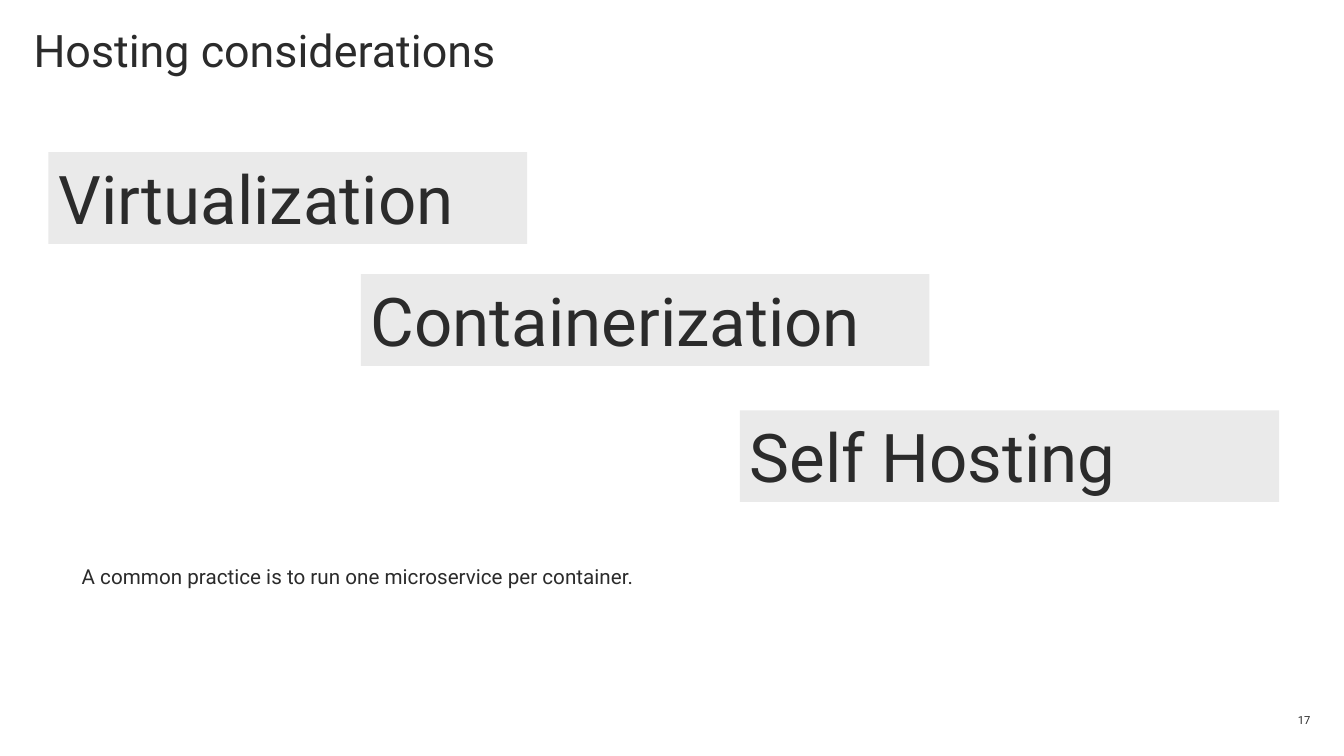
import pptx
import pptx.dml.color
import pptx.enum.shapes
import pptx.enum.text
import pptx.util
from dataclasses import dataclass

Align = pptx.enum.text.PP_ALIGN
Anchor = pptx.enum.text.MSO_ANCHOR


@dataclass(frozen=True)
class Theme:
    font: str = "Roboto"
    ink: str = "2B2B2B"
    panel: str = "EAEAEA"
    title_size: float = 32
    option_size: float = 48
    body_size: float = 14.7
    number_size: float = 8


class SlideBuilder:
    def __init__(self, presentation, theme):
        self.theme = theme
        self.width = presentation.slide_width
        self.height = presentation.slide_height
        self.slide = presentation.slides.add_slide(presentation.slide_layouts[6])

    def area(self, left, top, width, height):
        return (
            round(self.width * left / 100),
            round(self.height * top / 100),
            round(self.width * width / 100),
            round(self.height * height / 100),
        )

    def set_text(self, shape, text, size, insets, anchor=Anchor.TOP, align=Align.LEFT, line_spacing=None):
        frame = shape.text_frame
        frame.word_wrap = True
        frame.vertical_anchor = anchor
        horizontal, vertical = (pptx.util.Inches(inset) for inset in insets)
        frame.margin_left = frame.margin_right = horizontal
        frame.margin_top = frame.margin_bottom = vertical
        paragraph = frame.paragraphs[0]
        paragraph.text = text
        paragraph.alignment = align
        paragraph.line_spacing = line_spacing
        paragraph.font.name = self.theme.font
        paragraph.font.size = pptx.util.Pt(size)
        paragraph.font.color.rgb = pptx.dml.color.RGBColor.from_string(self.theme.ink)

    def text(self, area, text, size, insets=(0, 0), **style):
        shape = self.slide.shapes.add_textbox(*self.area(*area))
        self.set_text(shape, text, size, insets, **style)

    def option(self, area, text):
        shape = self.slide.shapes.add_shape(
            pptx.enum.shapes.MSO_SHAPE.RECTANGLE, *self.area(*area)
        )
        shape.shadow.inherit = False
        shape.fill.solid()
        shape.fill.fore_color.rgb = pptx.dml.color.RGBColor.from_string(self.theme.panel)
        shape.line.fill.background()
        self.set_text(shape, text, self.theme.option_size, (0.1, 0.05))


def main():
    presentation = pptx.Presentation()
    presentation.slide_width = pptx.util.Inches(13.33)
    presentation.slide_height = pptx.util.Inches(7.5)
    theme = Theme()
    builder = SlideBuilder(presentation, theme)

    builder.text((2.5, 3.87, 45, 7.47), "Hosting considerations", theme.title_size, line_spacing=0.9)
    builder.text((75, 93.87, 22.5, 2.67), "17", theme.number_size, anchor=Anchor.MIDDLE, align=Align.RIGHT)
    builder.text(
        (5.1, 73.73, 94.9, 5.07),
        "A common practice is to run one microservice per container.",
        theme.body_size,
        insets=(0.13, 0.07),
        anchor=Anchor.MIDDLE,
    )

    option_height = 12.13
    for left, top, width, name in (
        (3.6, 20.13, 35.63, "Virtualization"),
        (26.85, 36.27, 42.3, "Containerization"),
        (55.05, 54.27, 40.13, "Self Hosting"),
    ):
        builder.option((left, top, width, option_height), name)

    presentation.save("out.pptx")


if __name__ == "__main__":
    main()
